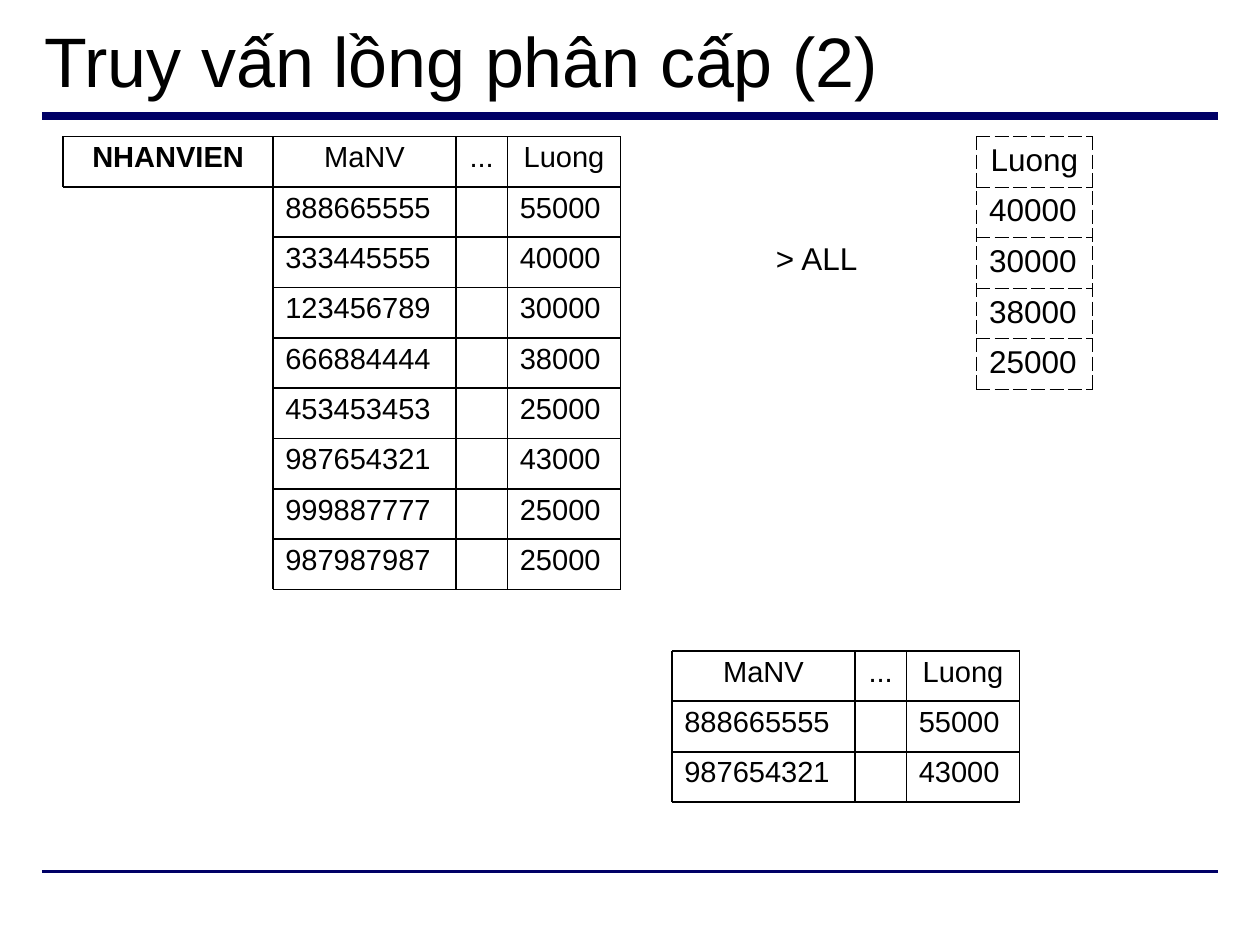
from itertools import accumulate

from lxml import etree
from pptx import Presentation
from pptx import util as u
from pptx.dml import color
from pptx.enum import shapes, text
from pptx.oxml import ns

THEME = {
    "font": "Arial",
    "ink": "000000",
    "rule": "000066",
    "title": 40,
    "body": 18,
    "grid": 16.6,
}
NO_GRID_STYLE = "{2D5ABB26-0587-4C30-8999-92F81FD0307C}"


def write_text(frame, words, size, bold=False, frame_format=None, paragraph_format=None):
    for name, value in (frame_format or {}).items():
        setattr(frame, name, value)
    paragraph = frame.paragraphs[0]
    paragraph.text = words
    for name, value in (paragraph_format or {}).items():
        setattr(paragraph, name, value)
    font_format = {"name": THEME["font"], "size": u.Pt(size), "bold": bold}
    for name, value in font_format.items():
        setattr(paragraph.font, name, value)
    paragraph.font.color.rgb = color.RGBColor.from_string(THEME["ink"])


def draw_line(ends, width, line_color):
    connector = slide.shapes.add_connector(shapes.MSO_CONNECTOR.STRAIGHT, *map(u.Pt, ends))
    connector.line.width = u.Pt(width)
    connector.line.color.rgb = color.RGBColor.from_string(line_color)
    etree.SubElement(connector.element.spPr, ns.qn("a:effectLst"))


presentation = Presentation()
presentation.slide_width = u.Pt(720)
presentation.slide_height = u.Pt(540)
slide = presentation.slides.add_slide(presentation.slide_layouts[6])

for y, width in ((66.2, 4.5), (498, 2.25)):
    draw_line((24, y, 696, y), width, THEME["rule"])

text_boxes = [
    ("Truy vấn lồng phân cấp (2)", (18.3, 13, 684, 41.75), THEME["title"],
     {"word_wrap": True, "vertical_anchor": text.MSO_ANCHOR.MIDDLE}),
    ("> ALL", (436.3, 133.2, 62, 28.8), THEME["body"],
     {"word_wrap": False, "auto_size": text.MSO_AUTO_SIZE.SHAPE_TO_FIT_TEXT}),
]
for words, place, size, frame_format in text_boxes:
    shape = slide.shapes.add_textbox(*map(u.Pt, place))
    write_text(shape.text_frame, words, size, frame_format=frame_format)

salaries = ["Luong", "40000", "30000", "38000", "25000"]
salary_width, salary_height = 66.3, 28.9
graphic_frame = slide.shapes.add_table(
    len(salaries), 1, u.Pt(558), u.Pt(78),
    u.Pt(salary_width), u.Pt(salary_height * len(salaries)),
)
graphic_frame.element.find(f".//{ns.qn('a:tableStyleId')}").text = NO_GRID_STYLE
salary_table = graphic_frame.table
salary_table.first_row = False
salary_table.horz_banding = False
for row_index, words in enumerate(salaries):
    salary_table.rows[row_index].height = u.Pt(salary_height)
    cell = salary_table.cell(row_index, 0)
    cell.fill.background()
    alignment = text.PP_ALIGN.LEFT if row_index else text.PP_ALIGN.CENTER
    write_text(cell.text_frame, words, THEME["body"], paragraph_format={"alignment": alignment})
    properties = cell.fill._xPr
    for position, side in enumerate(("lnL", "lnR", "lnT", "lnB")):
        border = etree.Element(ns.qn(f"a:{side}"), w=str(u.Pt(0.45)))
        border_fill = etree.SubElement(border, ns.qn("a:solidFill"))
        etree.SubElement(border_fill, ns.qn("a:srgbClr"), val=THEME["ink"])
        etree.SubElement(border, ns.qn("a:prstDash"), val="dash")
        properties.insert(position, border)

header = ("MaNV", "...", "Luong")
employees = [
    ("888665555", "", "55000"),
    ("333445555", "", "40000"),
    ("123456789", "", "30000"),
    ("666884444", "", "38000"),
    ("453453453", "", "25000"),
    ("987654321", "", "43000"),
    ("999887777", "", "25000"),
    ("987987987", "", "25000"),
]
column_widths = (104.5, 29.5, 64.6)
row_height = 28.76
name_left = 36
grids = [
    (156, 78, "NHANVIEN", [header, *employees]),
    (384, 372, "", [header, employees[0], employees[5]]),
]
for left, top, relation_name, rows in grids:
    column_edges = list(accumulate(column_widths, initial=left))
    row_edges = [top + row_height * index for index in range(len(rows) + 1)]
    labels = [
        (words, column_edges[column], row_edges[row], column_widths[column], row == 0)
        for row, values in enumerate(rows)
        for column, words in enumerate(values)
        if words
    ]
    if relation_name:
        labels.append((relation_name, name_left, top, left - name_left, True))
        draw_line((name_left, top, name_left, row_edges[1]), 1, THEME["ink"])

    for words, x, y, width, is_header in labels:
        shape = slide.shapes.add_textbox(*map(u.Pt, (x, y, width, row_height)))
        alignment = text.PP_ALIGN.CENTER if is_header else text.PP_ALIGN.LEFT
        write_text(
            shape.text_frame, words, THEME["grid"], bold=words == relation_name,
            frame_format={"word_wrap": True},
            paragraph_format={"alignment": alignment, "line_spacing": 0.9},
        )
    for index, y in enumerate(row_edges):
        start = name_left if relation_name and index < 2 else left
        draw_line((start, y, column_edges[-1], y), 1, THEME["ink"])
    for x in column_edges:
        draw_line((x, top, x, row_edges[-1]), 1, THEME["ink"])

presentation.save("out.pptx")
